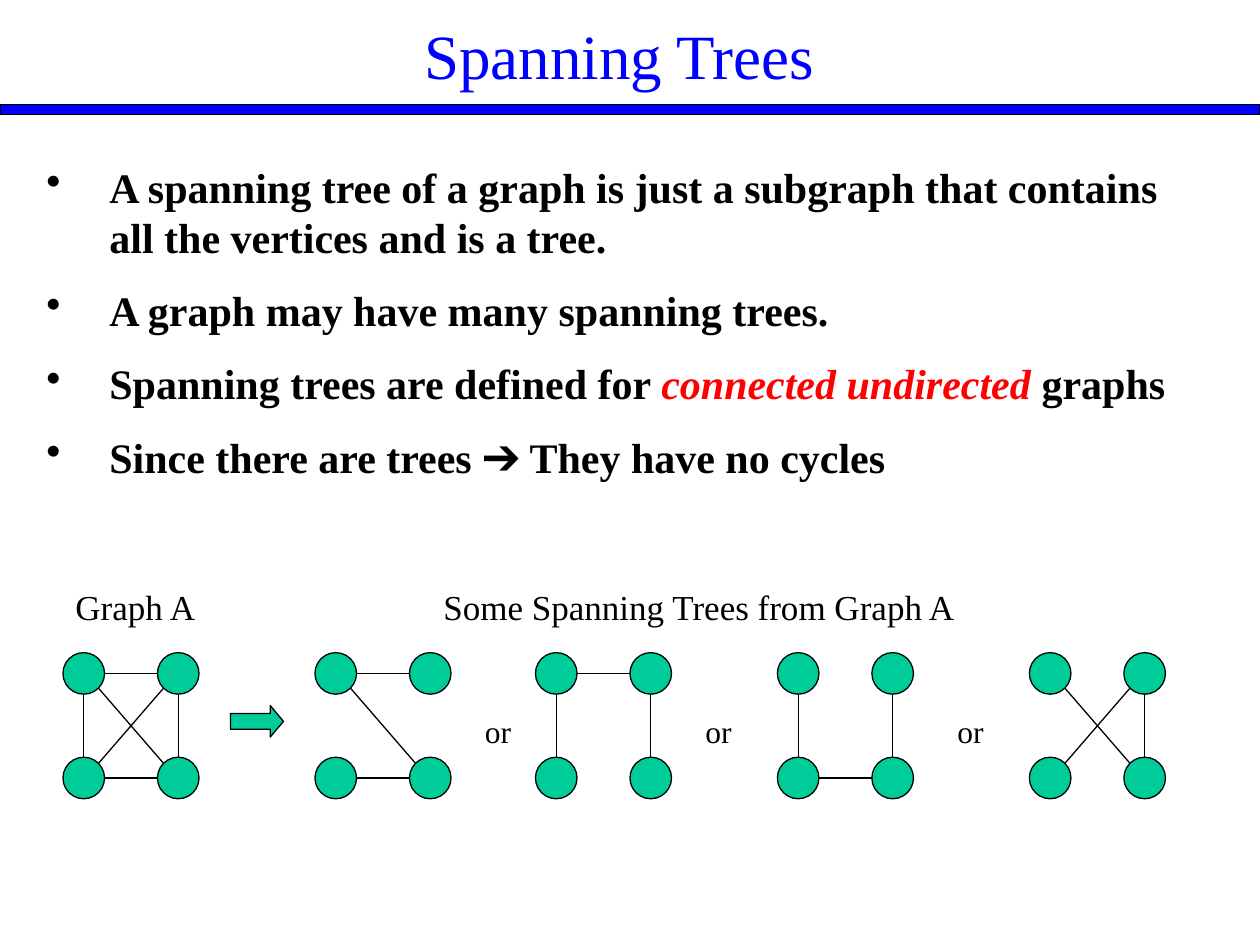
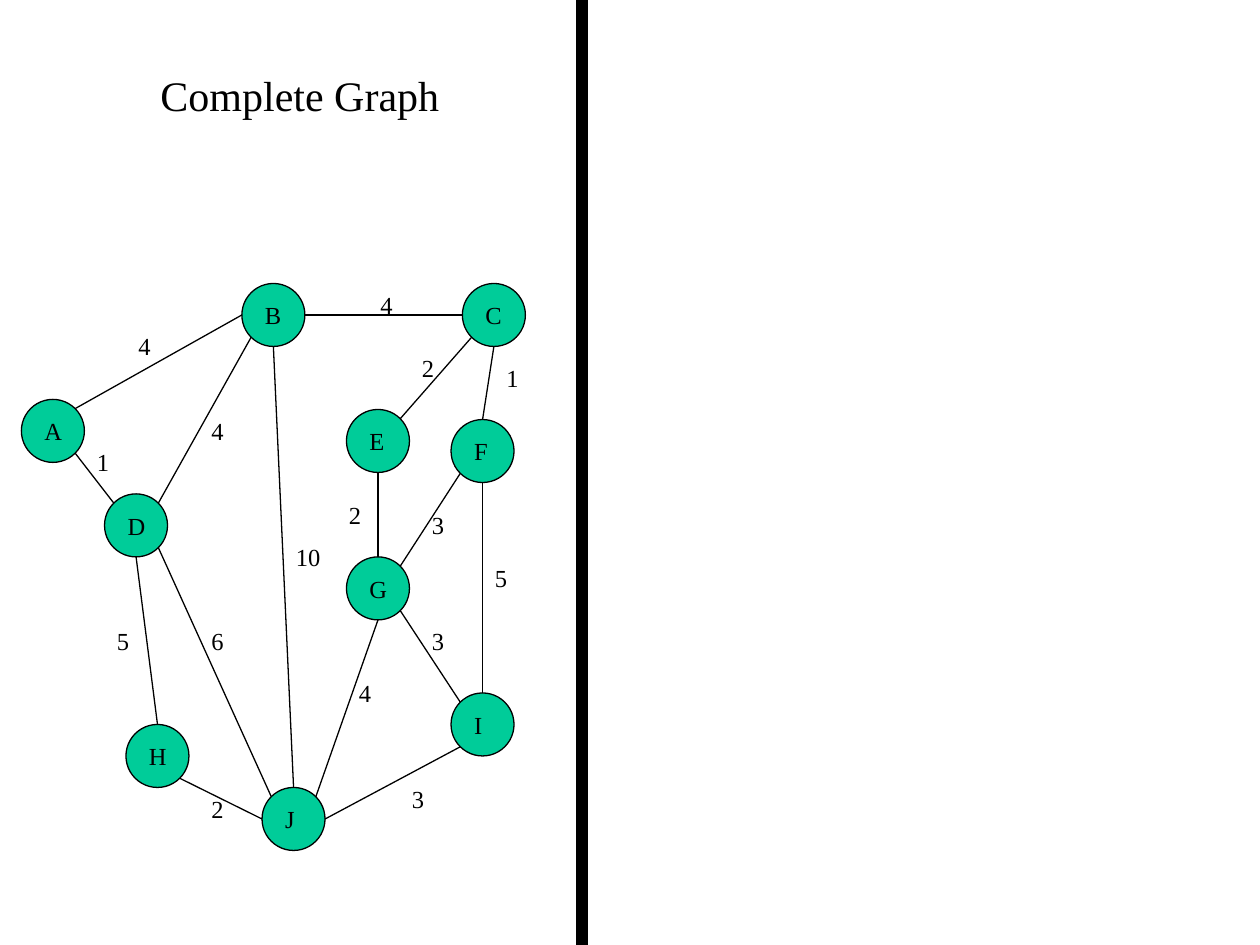
import math

import pptx
import pptx.dml.color
import pptx.enum.shapes
import pptx.enum.text
import pptx.oxml
import pptx.oxml.ns
import pptx.util
from pptx.util import Inches

COLORS = {"node": "00CC99", "line": "000000", "text": "000000",
          "title": "0000FF", "emphasis": "FF0000"}
FONT = "Times New Roman"
SHAPE = pptx.enum.shapes.MSO_SHAPE
ALIGN = pptx.enum.text.PP_ALIGN
ANCHOR = pptx.enum.text.MSO_ANCHOR
TITLE_ONLY = 5

# Slide 1: each bullet is a list of (text, emphasised) runs
BULLETS = [
    [("A spanning tree of a graph is just a subgraph that contains all "
      "the vertices and is a tree.", False)],
    [("A graph may have many spanning trees.", False)],
    [("Spanning trees are defined for ", False),
     ("connected undirected", True), (" graphs", False)],
    [("Since there are trees ➔ They have no cycles", False)],
]
CAPTIONS = [("Graph A", 0.5, 1.17), ("Some Spanning Trees from Graph A", 3.42, 5.17)]
# Left edge of each square graph, and its edges between corners (column, row)
TL, TR, BL, BR = (0, 0), (1, 0), (0, 1), (1, 1)
SQUARE_GRAPHS = [
    (0.5, [(TL, TR), (TL, BL), (BL, BR), (TR, BR), (TR, BL), (TL, BR)]),
    (2.5, [(TL, TR), (BL, BR), (TL, BR)]),
    (4.25, [(TL, TR), (TL, BL), (TR, BR)]),
    (6.17, [(TL, BL), (BL, BR), (TR, BR)]),
    (8.17, [(TR, BR), (TR, BL), (TL, BR)]),
]
OR_LEFTS = [3.75, 5.5, 7.5]
SQUARE_TOP, COLUMN_STEP, ROW_STEP, SMALL_NODE = 5.18, 0.75, 0.83, 0.33

# Slide 2: left and top of each node
LARGE_NODE = 0.5
NODES = {
    "A": (0.17, 3.17), "B": (1.92, 2.25), "C": (3.67, 2.25), "D": (0.83, 3.92),
    "E": (2.75, 3.25), "F": (3.58, 3.33), "G": (2.75, 4.42), "H": (1, 5.75),
    "I": (3.58, 5.5), "J": (2.08, 6.25),
}
# (from, side), (to, side), weight, left and top of the weight
WEIGHTED_EDGES = [
    ("A", "NE", "B", "W", 4, 1, 2.58),
    ("A", "SE", "D", "NW", 1, 0.67, 3.5),
    ("B", "E", "C", "W", 4, 2.92, 2.25),
    ("B", "SW", "D", "NE", 4, 1.58, 3.25),
    ("B", "S", "J", "N", 10, 2.25, 4.25),
    ("C", "SW", "E", "NE", 2, 3.25, 2.75),
    ("C", "S", "F", "N", 1, 3.92, 2.83),
    ("D", "S", "H", "N", 5, 0.83, 4.92),
    ("D", "SE", "J", "NW", 6, 1.58, 4.92),
    ("E", "S", "G", "N", 2, 2.67, 3.92),
    ("F", "SW", "G", "NE", 3, 3.33, 4),
    ("F", "S", "I", "N", 5, 3.83, 4.42),
    ("G", "SE", "I", "NW", 3, 3.33, 4.92),
    ("G", "S", "J", "NE", 4, 2.75, 5.33),
    ("H", "SE", "J", "W", 2, 1.58, 6.25),
    ("I", "SW", "J", "E", 3, 3.17, 6.17),
]
SIDES = {"N": (0, -1), "S": (0, 1), "W": (-1, 0), "E": (1, 0),
         "NW": (-1, -1), "NE": (1, -1), "SW": (-1, 1), "SE": (1, 1)}


def rgb(name):
    return pptx.dml.color.RGBColor.from_string(COLORS[name])


def format_font(font, size, color="text"):
    font.name = FONT
    font.size = pptx.util.Pt(size)
    font.color.rgb = rgb(color)


def add_title(slide, text, box, size, color):
    title = slide.shapes.title
    title.left, title.top, title.width, title.height = map(Inches, box)
    frame = title.text_frame
    frame.text = text
    frame.word_wrap = True
    frame.auto_size = pptx.enum.text.MSO_AUTO_SIZE.NONE
    frame.vertical_anchor = ANCHOR.TOP
    paragraph = frame.paragraphs[0]
    paragraph.alignment = ALIGN.CENTER
    format_font(paragraph.runs[0].font, size, color)


def add_label(slide, text, box, size, wrap=True):
    frame = slide.shapes.add_textbox(*map(Inches, box)).text_frame
    frame.text = text
    frame.word_wrap = wrap
    format_font(frame.paragraphs[0].runs[0].font, size)


def add_filled(slide, kind, box, fill):
    """Add a preset shape with a thin black outline."""
    shape = slide.shapes.add_shape(kind, *map(Inches, box))
    shape.shadow.inherit = False
    shape.fill.solid()
    shape.fill.fore_color.rgb = rgb(fill)
    shape.line.color.rgb = rgb("line")
    shape.line.width = pptx.util.Pt(0.75)
    return shape


def add_node(slide, left, top, size, letter=""):
    node = add_filled(slide, SHAPE.OVAL, (left, top, size, size), "node")
    if letter:
        frame = node.text_frame
        frame.text = letter
        frame.margin_left = Inches(0.11)
        frame.margin_right = frame.margin_top = frame.margin_bottom = 0
        frame.vertical_anchor = ANCHOR.MIDDLE
        paragraph = frame.paragraphs[0]
        paragraph.alignment = ALIGN.LEFT
        format_font(paragraph.runs[0].font, 14)


def rim_point(corner, size, side):
    """Return the point on a round node's rim in direction side (x, y)."""
    reach = size / 2 / math.hypot(*side)
    return [start + size / 2 + reach * step for start, step in zip(corner, side)]


def add_edge(slide, begin, end):
    edge = slide.shapes.add_connector(
        pptx.enum.shapes.MSO_CONNECTOR.STRAIGHT, *map(Inches, [*begin, *end]))
    edge.line.color.rgb = rgb("line")
    edge.line.width = pptx.util.Pt(0.75)
    properties = edge._element.spPr
    properties.append(pptx.oxml.parse_xml(
        "<a:effectLst %s/>" % pptx.oxml.ns.nsdecls("a")))


def add_bullets(slide):
    box = map(Inches, (0.27, 1.23, 9.45, 2.73))
    frame = slide.shapes.add_textbox(*box).text_frame
    frame.word_wrap = True
    for index, runs in enumerate(BULLETS):
        paragraph = frame.add_paragraph() if index else frame.paragraphs[0]
        properties = paragraph._p.get_or_add_pPr()
        properties.set("marL", str(Inches(0.5)))
        properties.set("indent", str(Inches(-0.5)))
        properties.append(pptx.oxml.parse_xml(
            '<a:buChar %s char="•"/>' % pptx.oxml.ns.nsdecls("a")))
        if index:
            paragraph.space_before = pptx.util.Pt(13)
        for text, emphasised in runs:
            run = paragraph.add_run()
            run.text = text
            format_font(run.font, 24, "emphasis" if emphasised else "text")
            run.font.bold = True
            run.font.italic = emphasised


def add_square_graph(slide, left, edges):
    corners = {(column, row): (left + column * COLUMN_STEP, SQUARE_TOP + row * ROW_STEP)
               for column in range(2) for row in range(2)}
    for corner in corners.values():
        add_node(slide, *corner, SMALL_NODE)
    for begin, end in edges:
        side = [b - a for a, b in zip(begin, end)]
        opposite = [-step for step in side]
        add_edge(slide, rim_point(corners[begin], SMALL_NODE, side),
                 rim_point(corners[end], SMALL_NODE, opposite))


def build_spanning_trees(slide):
    add_title(slide, "Spanning Trees", (3.25, 0.08, 3.33, 0.7), 36, "title")
    add_filled(slide, SHAPE.RECTANGLE, (0, 0.83, 10, 0.08), "title")
    add_bullets(slide)
    for text, left, width in CAPTIONS:
        add_label(slide, text, (left, 4.6, width, 0.43), 20)
    for left, edges in SQUARE_GRAPHS:
        add_square_graph(slide, left, edges)
    arrow = add_filled(slide, SHAPE.RIGHT_ARROW, (1.83, 5.6, 0.42, 0.25), "node")
    arrow.adjustments[1] = 0.42
    for left in OR_LEFTS:
        add_label(slide, "or", (left, 5.6, 0.42, 0.4), 18)


def build_complete_graph(slide):
    add_title(slide, "Complete Graph", (0.92, 0.5, 2.92, 0.5), 24, "text")
    add_filled(slide, SHAPE.RECTANGLE, (4.58, 0, 0.08, 7.5), "line")
    for letter, corner in NODES.items():
        add_node(slide, *corner, LARGE_NODE, letter)
    for begin, begin_side, end, end_side, weight, left, top in WEIGHTED_EDGES:
        add_edge(slide, rim_point(NODES[begin], LARGE_NODE, SIDES[begin_side]),
                 rim_point(NODES[end], LARGE_NODE, SIDES[end_side]))
        width = 0.2 + 0.1 * len(str(weight))
        add_label(slide, str(weight), (left, top, width, 0.33), 14, wrap=False)


def main():
    presentation = pptx.Presentation()
    presentation.slide_width = Inches(10)
    presentation.slide_height = Inches(7.5)
    layout = presentation.slide_layouts[TITLE_ONLY]
    for build in (build_spanning_trees, build_complete_graph):
        build(presentation.slides.add_slide(layout))
    presentation.save("out.pptx")


if __name__ == "__main__":
    main()
